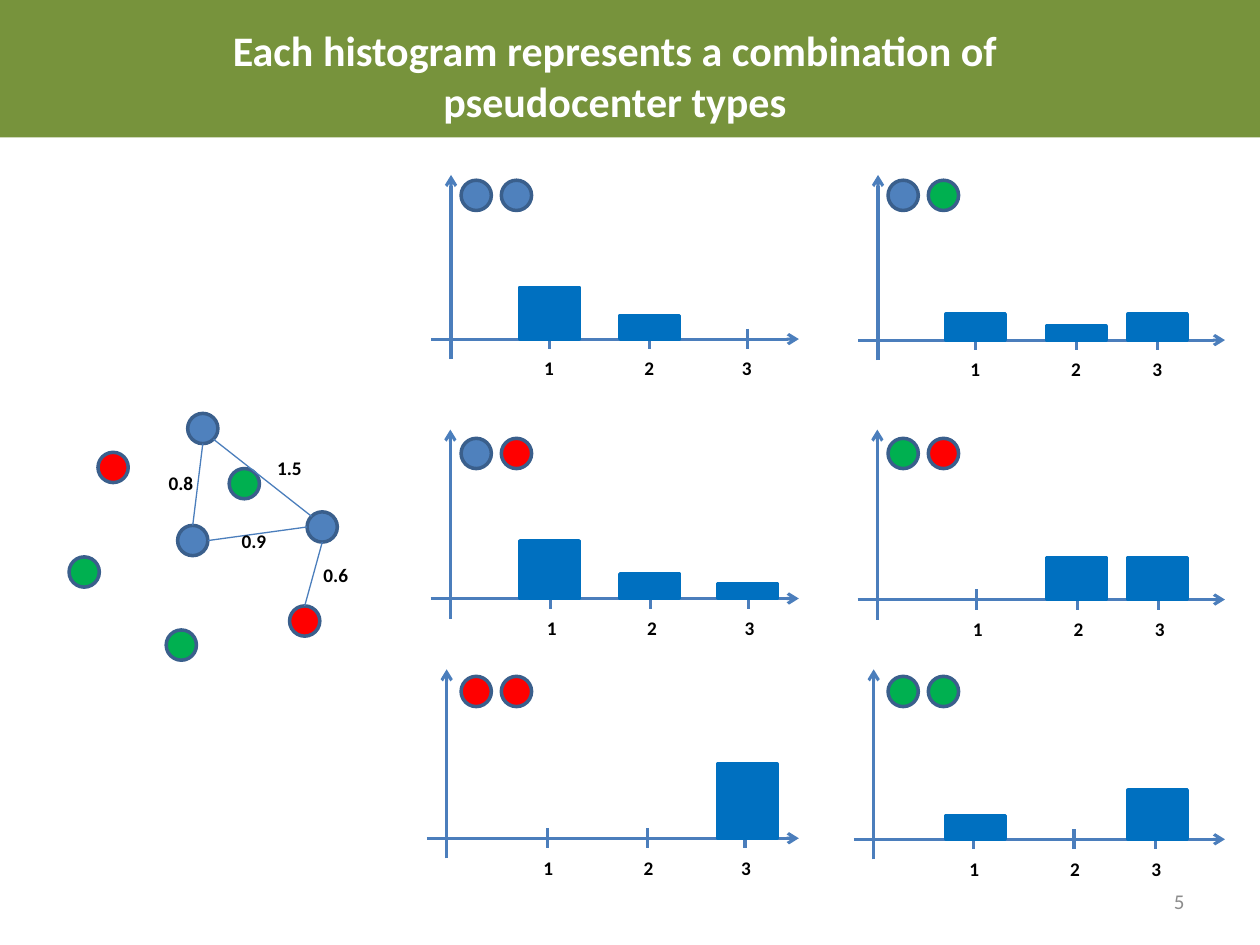
from math import sqrt

from lxml.etree import SubElement
from pptx import Presentation
from pptx.dml.color import RGBColor
from pptx.enum.shapes import MSO_CONNECTOR as Connector, MSO_SHAPE as Shape
from pptx.enum.text import MSO_ANCHOR as Anchor, PP_ALIGN as Align
from pptx.oxml.ns import qn
from pptx.util import Pt

BLUE, GREEN, RED = "4F81BD", "00B050", "FF0000"
RIM, AXIS, BAR = "3A5F8C", "4B7EBC", "0070C0"
DOT, BAR_WIDTH = 17.3, 34
LABEL_WIDTH, LABEL_HEIGHT = 20.2, 20.9
DIAGONAL = sqrt(0.5)

# Columns: origin, end of axis, bin centres, left of first dot, baseline shift
COLUMNS = [
    (257.75, 456.5, (314, 371.25, 427), 263.5, 0),
    (501.75, 700, (557.5, 615, 661.5), 507.5, 0.6),
]
# Rows: baseline, top of axis, top of dots, shifts of origin, ticks and labels
ROWS = [
    (193.75, 100, 103, 0, 0, 0),
    (342, 245.5, 250.5, -0.4, 0.5, 1.5),
    (479, 382.5, 386.5, -2.5, -1.25, -0.5),
]
# One histogram per pair of pseudocenter types: the pair and the bar heights
HISTOGRAMS = [
    [((BLUE, BLUE), (29.5, 13.5, 0)), ((BLUE, GREEN), (15, 8, 15))],
    [((BLUE, RED), (33, 14, 8.5)), ((GREEN, RED), (0, 24, 24))],
    [((RED, RED), (0, 0, 42.5)), ((GREEN, GREEN), (13.5, 0, 28))],
]

# Pseudocenters: left, top
TOP_BLUE, LEFT_BLUE, RIGHT_BLUE = (107.25, 236.25), (101.5, 300.25), (175.5, 292.5)
LOW_RED = (165.5, 346.25)
PSEUDOCENTERS = [
    (TOP_BLUE, BLUE), (LEFT_BLUE, BLUE), (RIGHT_BLUE, BLUE),
    ((56, 258.5), RED), (LOW_RED, RED),
    ((39.5, 318.25), GREEN), ((131, 267.75), GREEN), ((95, 360), GREEN),
]
# Distances: start and its rim direction, end and its rim direction, label
DISTANCES = [
    (TOP_BLUE, (0, 1), LEFT_BLUE, (0, -1), "0.8", (89.25, 265.75)),
    (LEFT_BLUE, (1, 0), RIGHT_BLUE, (-1, 0), "0.9", (131, 298.75)),
    (TOP_BLUE, (DIAGONAL, DIAGONAL), RIGHT_BLUE, (-DIAGONAL, -DIAGONAL),
     "1.5", (151.25, 257)),
    (RIGHT_BLUE, (0, 1), LOW_RED, (0, -1), "0.6", (177.75, 318.25)),
]


def color(hex_code):
    return RGBColor.from_string(hex_code)


def add_figure(slide, kind, left, top, width, height, fill, line=None):
    figure = slide.shapes.add_shape(kind, Pt(left), Pt(top), Pt(width), Pt(height))
    figure.shadow.inherit = False
    figure.fill.solid()
    figure.fill.fore_color.rgb = color(fill)
    if line:
        figure.line.color.rgb = color(line)
        figure.line.width = Pt(2)
    else:
        figure.line.fill.background()


def add_dot(slide, left, top, fill):
    add_figure(slide, Shape.OVAL, left, top, DOT, DOT, fill, RIM)


def add_line(slide, start, end, width=1.75, arrow=False):
    line = slide.shapes.add_connector(
        Connector.STRAIGHT, Pt(start[0]), Pt(start[1]), Pt(end[0]), Pt(end[1]))
    line.line.color.rgb = color(AXIS)
    line.line.width = Pt(width)
    properties = line._element.spPr
    if arrow:
        SubElement(properties.find(qn("a:ln")), qn("a:tailEnd"), type="arrow")
    SubElement(properties, qn("a:effectLst"))


def add_text(slide, text, left, top, width, height, size=11, fill="000000",
             bold=True, align=Align.LEFT, anchor=Anchor.TOP, wrap=False):
    box = slide.shapes.add_textbox(Pt(left), Pt(top), Pt(width), Pt(height))
    frame = box.text_frame
    frame.word_wrap = wrap
    frame.vertical_anchor = anchor
    paragraph = frame.paragraphs[0]
    paragraph.alignment = align
    run = paragraph.add_run()
    run.text = text
    run.font.name = "Calibri"
    run.font.size = Pt(size)
    run.font.bold = bold
    run.font.color.rgb = color(fill)


def add_histogram(slide, column, row, pair, heights):
    origin, axis_end, bins, dots_left, baseline_shift = column
    baseline, axis_top, dots_top, origin_shift, tick_shift, label_shift = row
    baseline += baseline_shift
    origin += origin_shift
    add_line(slide, (origin, baseline + 11.5), (origin, axis_top), arrow=True)
    add_line(slide, (origin - 11.25, baseline), (axis_end, baseline), arrow=True)
    for index, fill in enumerate(pair):
        add_dot(slide, dots_left + index * 23, dots_top, fill)
    for number, (center, height) in enumerate(zip(bins, heights), start=1):
        tick = center + tick_shift
        add_line(slide, (tick, baseline - 5.75), (tick, baseline + 5.75))
        if height:
            add_figure(slide, Shape.RECTANGLE, center - BAR_WIDTH / 2,
                       baseline - height, BAR_WIDTH, height, BAR, BAR)
        add_text(slide, str(number), center + label_shift - LABEL_WIDTH / 2,
                 baseline + 6.5, LABEL_WIDTH, LABEL_HEIGHT)


def rim_point(dot, direction):
    """Point on a dot's rim in the direction of a unit vector."""
    return tuple(corner + DOT / 2 * (1 + part) for corner, part in zip(dot, direction))


def add_network(slide):
    for (left, top), fill in PSEUDOCENTERS:
        add_dot(slide, left, top, fill)
    for start, start_side, end, end_side, distance, (left, top) in DISTANCES:
        add_line(slide, rim_point(start, start_side), rim_point(end, end_side), 0.75)
        add_text(slide, distance, left, top, 28.8, LABEL_HEIGHT)


def main():
    deck = Presentation()
    deck.slide_width, deck.slide_height = Pt(720), Pt(540)
    slide = deck.slides.add_slide(deck.slide_layouts[6])
    add_figure(slide, Shape.RECTANGLE, 0, 0, 720, 78.5, "77933C")
    add_text(slide, "Each histogram represents a combination of pseudocenter types",
             78.5, 14.5, 545.75, 57, size=24, fill="FFFFFF",
             align=Align.CENTER, anchor=Anchor.MIDDLE, wrap=True)
    add_network(slide)
    for row, histograms in zip(ROWS, HISTOGRAMS):
        for column, (pair, heights) in zip(COLUMNS, histograms):
            add_histogram(slide, column, row, pair, heights)
    add_text(slide, "5", 516, 500.5, 168, 28.75, size=12, fill="8C8C8C",
             bold=False, align=Align.RIGHT, anchor=Anchor.MIDDLE, wrap=True)
    deck.save("out.pptx")


if __name__ == "__main__":
    main()
